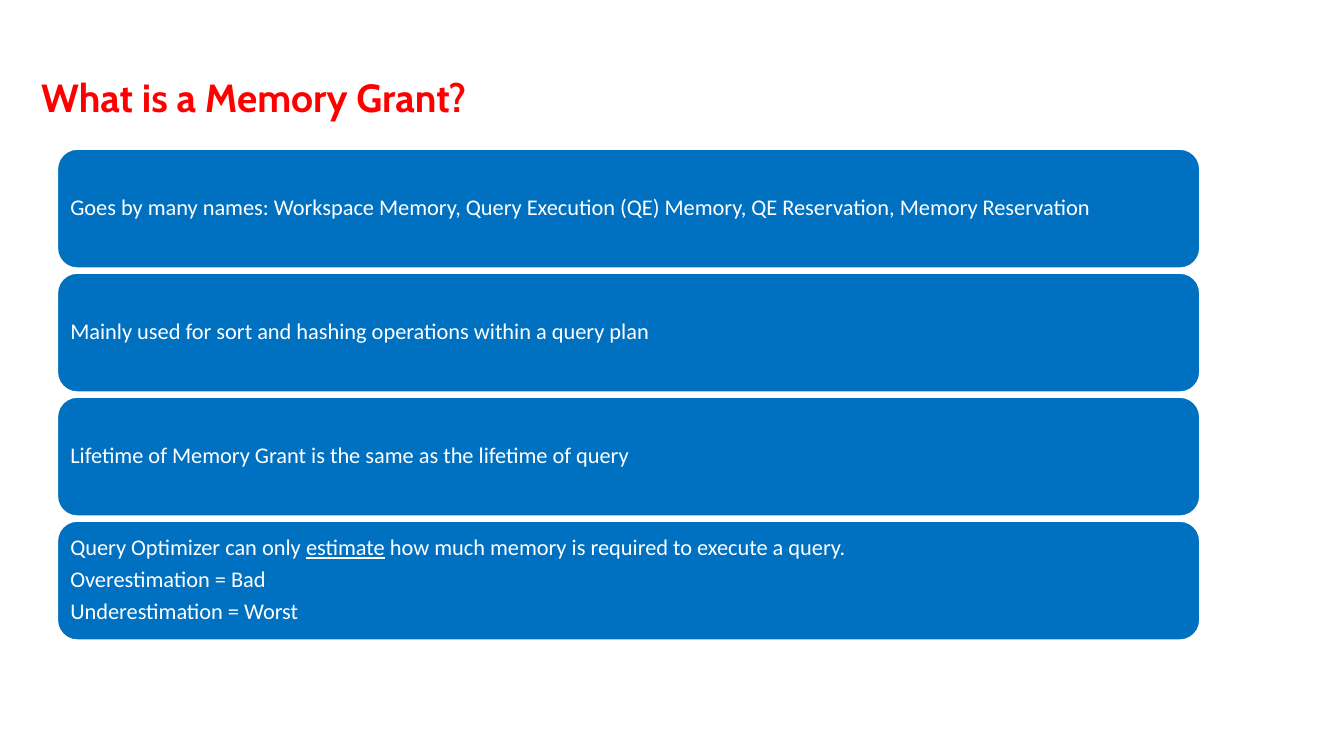
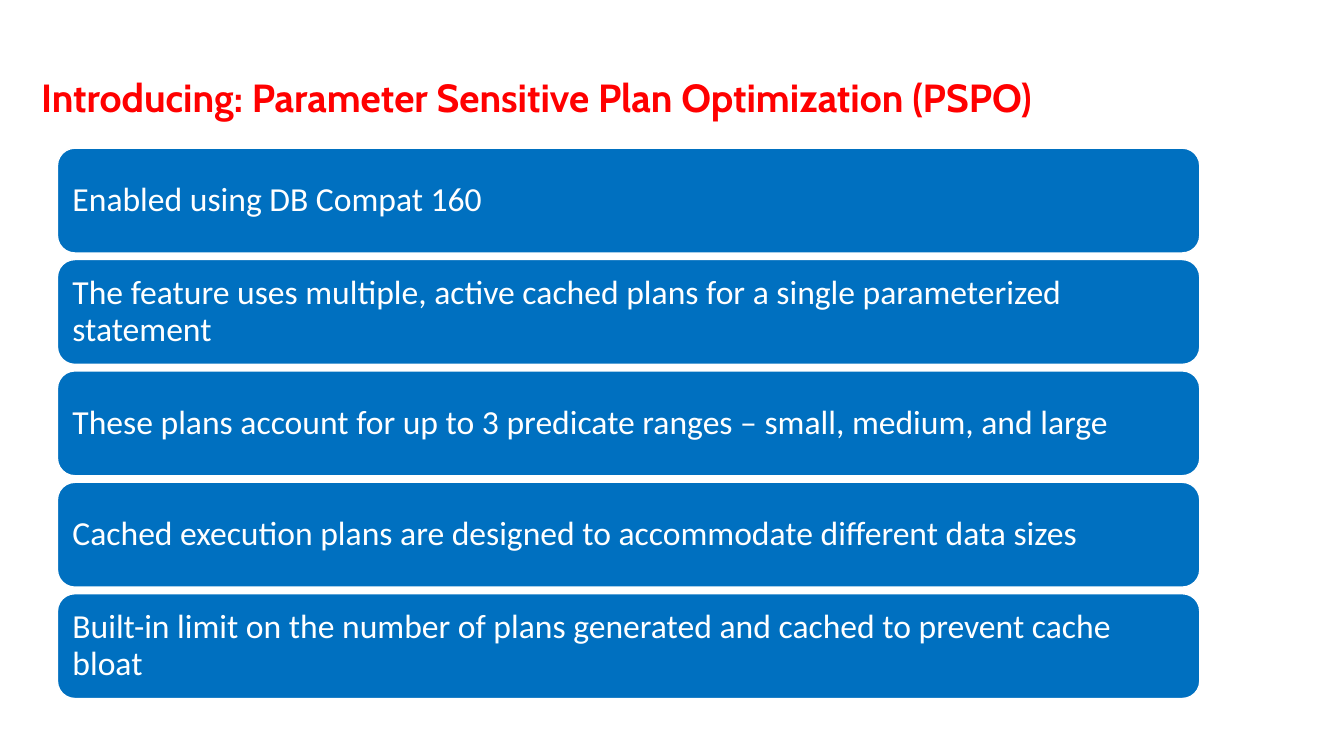
import dataclasses

import pptx
import pptx.dml.color
import pptx.enum.shapes
import pptx.enum.text
import pptx.presentation
import pptx.slide
import pptx.text.text
import pptx.util

Inches = pptx.util.Inches
Pt = pptx.util.Pt

BLUE = pptx.dml.color.RGBColor(0x00, 0x70, 0xC0)
RED = pptx.dml.color.RGBColor(0xFF, 0x00, 0x00)
WHITE = pptx.dml.color.RGBColor(0xFF, 0xFF, 0xFF)

MARGINS = ("margin_left", "margin_top", "margin_right", "margin_bottom")
TITLE_FONT = {"name": "Cabin", "size": Pt(28), "bold": True}
UNDERLINED = "estimate"


@dataclasses.dataclass(frozen=True)
class Topic:
    title: str
    title_width: float
    first_top: float
    last_top: float
    bar_height: float
    margin: float
    font_size: int
    bars: tuple[str, ...]


TOPICS = (
    Topic(
        "What is a Memory Grant?", 8.76, 1.48, 5.17, 1.18, 0.07, 16,
        (
            "Goes by many names: Workspace Memory, Query Execution (QE) Memory, "
            "QE Reservation, Memory Reservation",
            "Mainly used for sort and hashing operations within a query plan",
            "Lifetime of Memory Grant is the same as the lifetime of query",
            "Query Optimizer can only estimate how much memory is required to execute a query.\n"
            "Overestimation = Bad\n"
            "Underestimation = Worst",
        ),
    ),
    Topic(
        "Introducing: Parameter Sensitive Plan Optimization (PSPO)",
        12.07, 1.47, 5.89, 1.04, 0.1, 24,
        (
            "Enabled using DB Compat 160",
            "The feature uses multiple, active cached plans for a single parameterized statement",
            "These plans account for up to 3 predicate ranges – small, medium, and large",
            "Cached execution plans are designed to accommodate different data sizes",
            "Built-in limit on the number of plans generated and cached to prevent cache bloat",
        ),
    ),
)


def apply_format(target: object, values: dict[str, object]) -> None:
    for name, value in values.items():
        setattr(target, name, value)


def add_run(
    paragraph: pptx.text.text._Paragraph,
    text: str,
    font_format: dict[str, object],
    color: pptx.dml.color.RGBColor,
) -> None:
    run = paragraph.add_run()
    run.text = text
    apply_format(run.font, font_format)
    run.font.color.rgb = color


def add_title(slide: pptx.slide.Slide, topic: Topic) -> None:
    shape = slide.shapes.add_textbox(
        Inches(0.31), Inches(0.68), Inches(topic.title_width), Inches(0.57)
    )
    apply_format(
        shape.text_frame,
        {"word_wrap": True, "auto_size": pptx.enum.text.MSO_AUTO_SIZE.SHAPE_TO_FIT_TEXT},
    )
    add_run(shape.text_frame.paragraphs[0], topic.title, TITLE_FONT, RED)


def add_bar(slide: pptx.slide.Slide, topic: Topic, top: float, text: str) -> None:
    shape = slide.shapes.add_shape(
        pptx.enum.shapes.MSO_SHAPE.ROUNDED_RECTANGLE,
        Inches(0.57), Inches(top), Inches(11.33), Inches(topic.bar_height),
    )
    shape.shadow.inherit = False
    shape.fill.solid()
    shape.fill.fore_color.rgb = BLUE
    shape.line.color.rgb = WHITE
    shape.line.width = Pt(1)

    frame = shape.text_frame
    frame_format = {name: Inches(topic.margin) for name in MARGINS}
    frame_format["word_wrap"] = True
    frame_format["vertical_anchor"] = pptx.enum.text.MSO_ANCHOR.MIDDLE
    apply_format(frame, frame_format)

    paragraph_format = {
        "alignment": pptx.enum.text.PP_ALIGN.LEFT,
        "line_spacing": 0.9,
        "space_after": Pt(topic.font_size * 0.35),
    }
    for index, line in enumerate(text.split("\n")):
        paragraph = frame.add_paragraph() if index else frame.paragraphs[0]
        apply_format(paragraph, paragraph_format)
        for part in line.partition(UNDERLINED):
            if part:
                font_format = {
                    "name": "Calibri",
                    "size": Pt(topic.font_size),
                    "underline": part == UNDERLINED,
                }
                add_run(paragraph, part, font_format, WHITE)


def add_topic(presentation: pptx.presentation.Presentation, topic: Topic) -> None:
    slide = presentation.slides.add_slide(presentation.slide_layouts[6])
    pitch = (topic.last_top - topic.first_top) / (len(topic.bars) - 1)
    for index, text in enumerate(topic.bars):
        add_bar(slide, topic, topic.first_top + index * pitch, text)
    add_title(slide, topic)


def main() -> None:
    presentation = pptx.Presentation()
    presentation.slide_width = Inches(13.33)
    presentation.slide_height = Inches(7.5)
    for topic in TOPICS:
        add_topic(presentation, topic)
    presentation.save("out.pptx")


if __name__ == "__main__":
    main()
